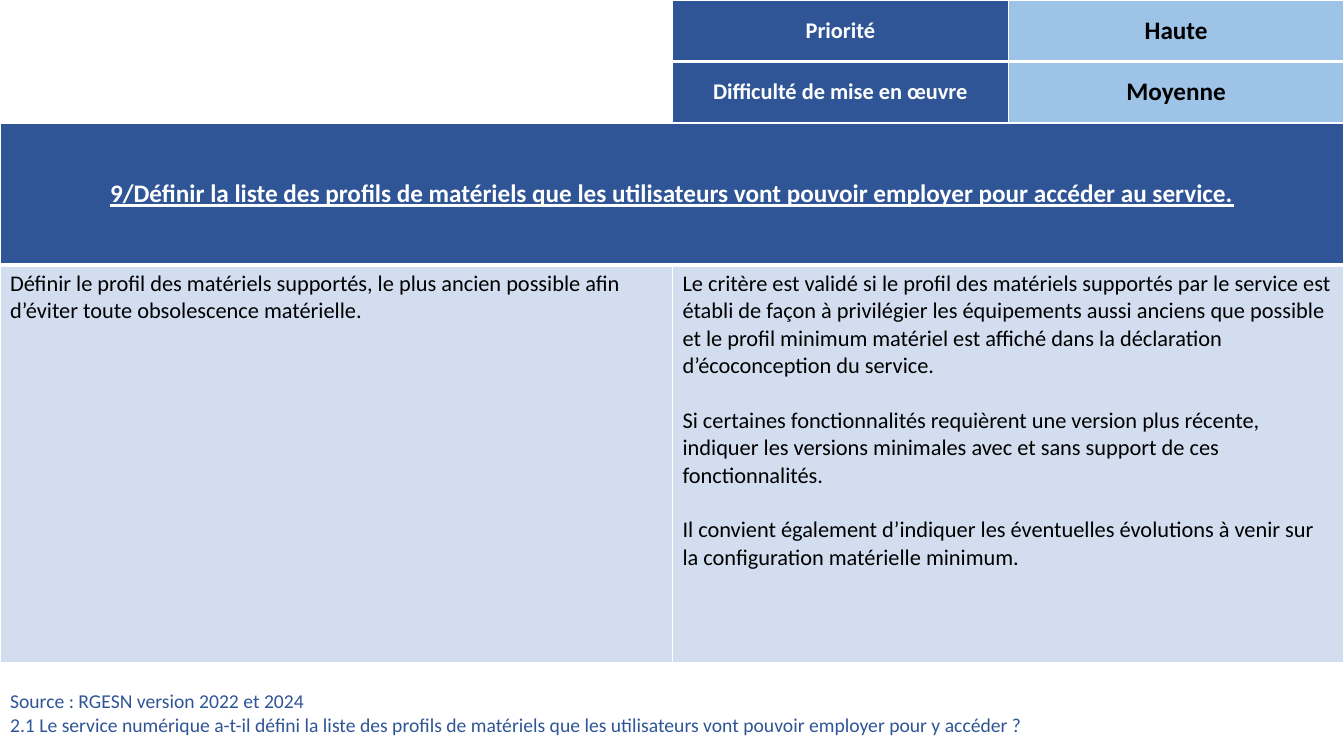
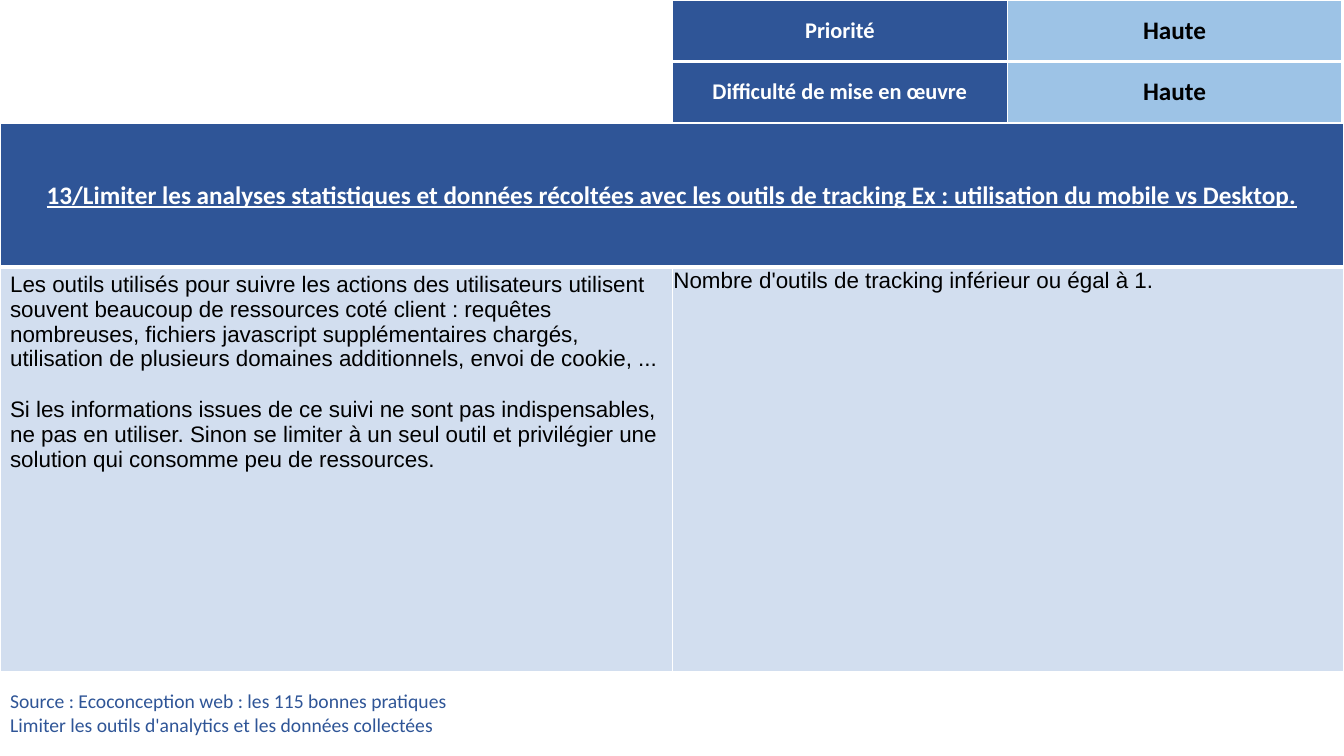
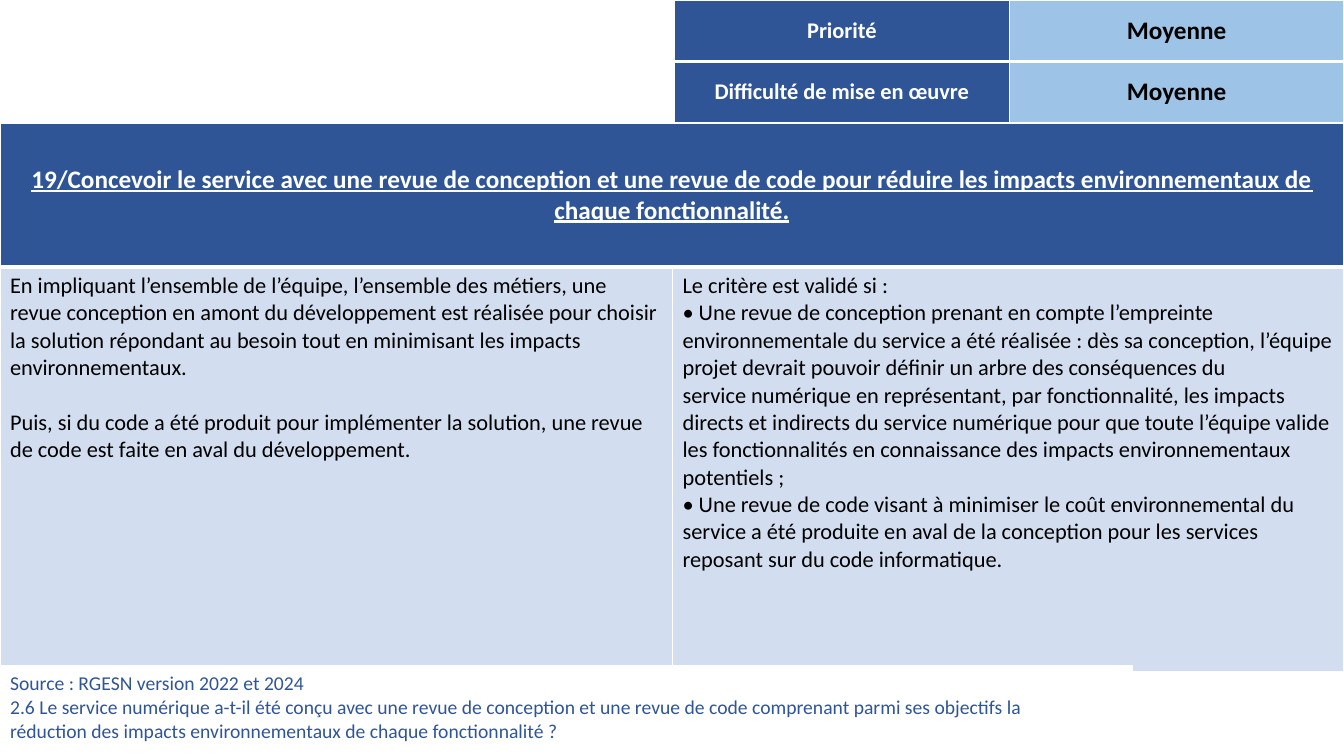
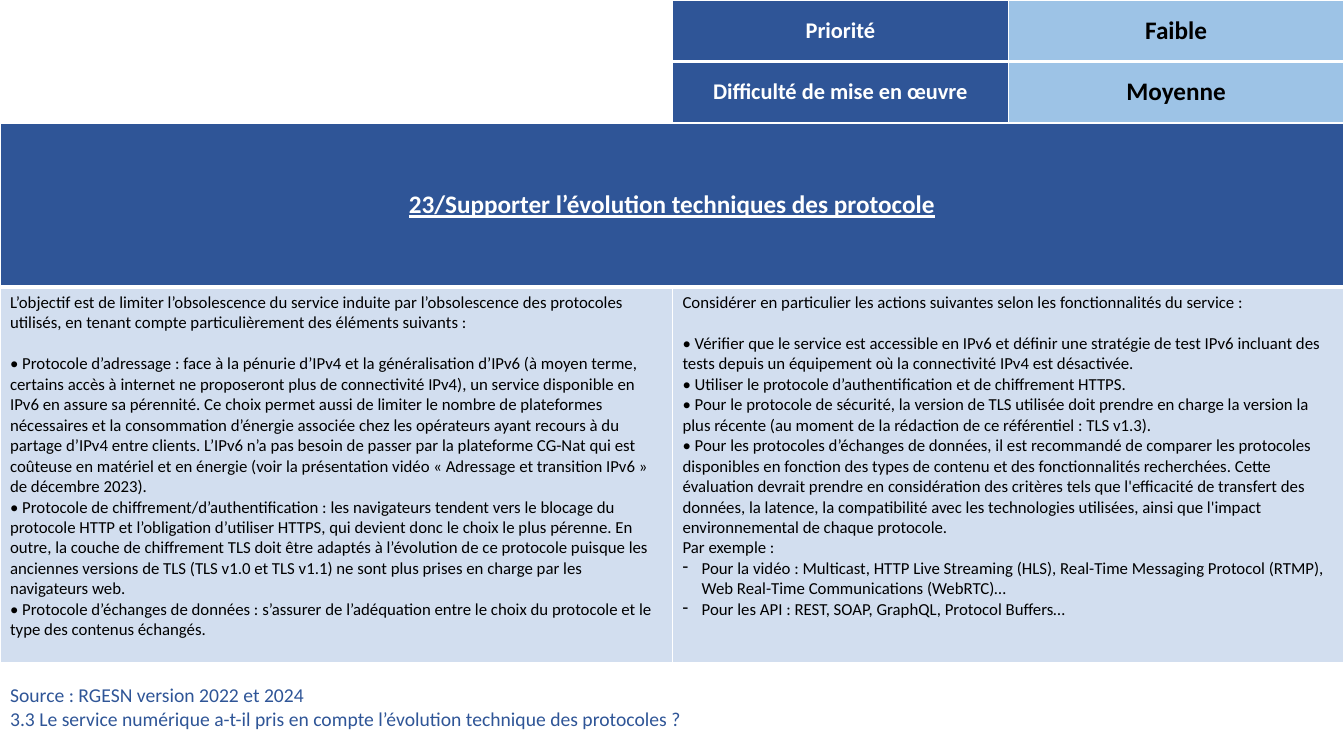
import dataclasses
import pptx
import pptx.dml.color
import pptx.enum.text
import pptx.oxml.ns
import pptx.util
from lxml import etree

RGB = pptx.dml.color.RGBColor
Inches = pptx.util.Inches
Pt = pptx.util.Pt
ALIGN = pptx.enum.text.PP_ALIGN
ANCHOR = pptx.enum.text.MSO_ANCHOR
qn = pptx.oxml.ns.qn

NAVY = RGB(0x2F, 0x55, 0x97)
SKY = RGB(0x9D, 0xC3, 0xE6)
PALE = RGB(0xD2, 0xDE, 0xEF)
WHITE = RGB(0xFF, 0xFF, 0xFF)
BLACK = RGB(0, 0, 0)

WIDE, HIGH = 13.33, 7.5
TOP = 1.22
LEAD = {"Calibri": 1.22, "Arial": 1.15}
TIGHT = (0.01, 0.01, 0.01, 0)
RGESN = "Source : RGESN version 2022 et 2024"


@dataclasses.dataclass(frozen=True)
class Style:
    """Look of the text in a cell."""
    size: int
    color: RGB
    font: str = "Calibri"
    bold: bool = False
    line: bool = False
    align: ALIGN = ALIGN.LEFT
    anchor: ANCHOR = ANCHOR.TOP


TITLE = Style(18, WHITE, bold=True, line=True, align=ALIGN.CENTER, anchor=ANCHOR.MIDDLE)
LABEL = Style(16, WHITE, bold=True, align=ALIGN.CENTER, anchor=ANCHOR.MIDDLE)
LEVEL = Style(18, BLACK, bold=True, align=ALIGN.CENTER, anchor=ANCHOR.MIDDLE)
NOTE = Style(14, NAVY, anchor=ANCHOR.MIDDLE)
BODY = Style(16, BLACK)
ARIAL = Style(16, BLACK, font="Arial")
SMALL = Style(12, BLACK)


@dataclasses.dataclass
class Card:
    """Content and measures of one slide; texts are groups of paragraphs."""
    title: str
    rank: str
    effort: str
    left: list
    right: list
    source: list
    rows: tuple
    style: Style = BODY
    grid: tuple = (6.67, 6.66)
    foot: float = 6.66
    tight: bool = False


CARDS = [
    Card(
        title="9/Définir la liste des profils de matériels que les utilisateurs vont pouvoir employer pour accéder au service.",
        rank="Haute",
        effort="Moyenne",
        left=[["Définir le profil des matériels supportés, le plus ancien possible afin d’éviter toute obsolescence matérielle."]],
        right=[
            ["Le critère est validé si le profil des matériels supportés par le service est établi de façon à privilégier les équipements aussi anciens que possible et le profil minimum matériel est affiché dans la déclaration d’écoconception du service."],
            ["Si certaines fonctionnalités requièrent une version plus récente, indiquer les versions minimales avec et sans support de ces fonctionnalités."],
            ["Il convient également d’indiquer les éventuelles évolutions à venir sur la configuration matérielle minimum."],
        ],
        source=[
            RGESN,
            "2.1 Le service numérique a-t-il défini la liste des profils de matériels que les utilisateurs vont pouvoir employer pour y accéder ?",
        ],
        rows=(1.41, 3.94),
    ),
    Card(
        title="13/Limiter les analyses statistiques et données récoltées avec les outils de tracking Ex : utilisation du mobile vs Desktop.",
        rank="Haute",
        effort="Haute",
        left=[
            ["Les outils utilisés pour suivre les actions des utilisateurs utilisent souvent beaucoup de ressources coté client : requêtes nombreuses, fichiers javascript supplémentaires chargés, utilisation de plusieurs domaines additionnels, envoi de cookie, ..."],
            ["Si les informations issues de ce suivi ne sont pas indispensables, ne pas en utiliser. Sinon se limiter à un seul outil et privilégier une solution qui consomme peu de ressources."],
        ],
        right=[["Nombre d'outils de tracking inférieur ou égal à 1."]],
        source=[
            "Source : Ecoconception web : les 115 bonnes pratiques",
            "Limiter les outils d'analytics et les données collectées",
        ],
        rows=(1.43, 4.01),
        style=ARIAL,
        grid=(6.67, 6.64),
        tight=True,
    ),
    Card(
        title="19/Concevoir le service avec une revue de conception et une revue de code pour réduire les impacts environnementaux de chaque fonctionnalité.",
        rank="Moyenne",
        effort="Moyenne",
        left=[
            ["En impliquant l’ensemble de l’équipe, l’ensemble des métiers, une revue conception en amont du développement est réalisée pour choisir la solution répondant au besoin tout en minimisant les impacts environnementaux."],
            ["Puis, si du code a été produit pour implémenter la solution, une revue de code est faite en aval du développement."],
        ],
        right=[[
            "Le critère est validé si :",
            "• Une revue de conception prenant en compte l’empreinte environnementale du service a été réalisée : dès sa conception, l’équipe projet devrait pouvoir définir un arbre des conséquences du",
            "service numérique en représentant, par fonctionnalité, les impacts directs et indirects du service numérique pour que toute l’équipe valide les fonctionnalités en connaissance des impacts environnementaux potentiels ;",
            "• Une revue de code visant à minimiser le coût environnemental du service a été produite en aval de la conception pour les services reposant sur du code informatique.",
        ]],
        source=[
            RGESN,
            "2.6 Le service numérique a-t-il été conçu avec une revue de conception et une revue de code comprenant parmi ses objectifs la",
            "réduction des impacts environnementaux de chaque fonctionnalité ?",
        ],
        rows=(1.43, 4.01),
        grid=(6.69, 6.64),
        foot=6.6,
    ),
    Card(
        title="23/Supporter l’évolution techniques des protocole",
        rank="Faible",
        effort="Moyenne",
        left=[
            ["L’objectif est de limiter l’obsolescence du service induite par l’obsolescence des protocoles utilisés, en tenant compte particulièrement des éléments suivants :"],
            [
                "• Protocole d’adressage : face à la pénurie d’IPv4 et la généralisation d’IPv6 (à moyen terme, certains accès à internet ne proposeront plus de connectivité IPv4), un service disponible en IPv6 en assure sa pérennité. Ce choix permet aussi de limiter le nombre de plateformes nécessaires et la consommation d’énergie associée chez les opérateurs ayant recours à du partage d’IPv4 entre clients. L’IPv6 n’a pas besoin de passer par la plateforme CG-Nat qui est coûteuse en matériel et en énergie (voir la présentation vidéo « Adressage et transition IPv6 » de décembre 2023).",
                "• Protocole de chiffrement/d’authentification : les navigateurs tendent vers le blocage du protocole HTTP et l’obligation d’utiliser HTTPS, qui devient donc le choix le plus pérenne. En outre, la couche de chiffrement TLS doit être adaptés à l’évolution de ce protocole puisque les anciennes versions de TLS (TLS v1.0 et TLS v1.1) ne sont plus prises en charge par les navigateurs web.",
                "• Protocole d’échanges de données : s’assurer de l’adéquation entre le choix du protocole et le type des contenus échangés.",
            ],
        ],
        right=[
            ["Considérer en particulier les actions suivantes selon les fonctionnalités du service :"],
            [
                "• Vérifier que le service est accessible en IPv6 et définir une stratégie de test IPv6 incluant des tests depuis un équipement où la connectivité IPv4 est désactivée.",
                "• Utiliser le protocole d’authentification et de chiffrement HTTPS.",
                "• Pour le protocole de sécurité, la version de TLS utilisée doit prendre en charge la version la plus récente (au moment de la rédaction de ce référentiel : TLS v1.3).",
                "• Pour les protocoles d’échanges de données, il est recommandé de comparer les protocoles disponibles en fonction des types de contenu et des fonctionnalités recherchées. Cette évaluation devrait prendre en considération des critères tels que l'efficacité de transfert des données, la latence, la compatibilité avec les technologies utilisées, ainsi que l'impact environnemental de chaque protocole.",
                "Par exemple :",
                "- Pour la vidéo : Multicast, HTTP Live Streaming (HLS), Real-Time Messaging Protocol (RTMP), Web Real-Time Communications (WebRTC)…",
                "- Pour les API : REST, SOAP, GraphQL, Protocol Buffers…",
            ],
        ],
        source=[
            RGESN,
            "3.3 Le service numérique a-t-il pris en compte l’évolution technique des protocoles ?",
        ],
        rows=(1.63, 3.72),
        style=SMALL,
        foot=6.6,
    ),
]


def add_dash(para):
    """Give a paragraph a hanging dash."""
    props = para._p.get_or_add_pPr()
    props.set("marL", str(Inches(0.19)))
    props.set("indent", str(-Inches(0.19)))
    etree.SubElement(props, qn("a:buChar")).set("char", "-")


def add_edges(cell, row):
    """Draw white borders, thick below the first row."""
    props = cell._tc.get_or_add_tcPr()
    sizes = {"L": 1, "R": 1, "T": 3 if row == 1 else 1, "B": 3 if row == 0 else 1}
    for side, size in sizes.items():
        edge = etree.SubElement(props, qn("a:ln" + side), w=str(Pt(size)))
        fill = etree.SubElement(edge, qn("a:solidFill"))
        etree.SubElement(fill, qn("a:srgbClr"), val=str(WHITE))


def add_grid(slide, left, top, cols, rows):
    """Place a plain table with white borders."""
    frame = slide.shapes.add_table(
        len(rows), len(cols), Inches(left), Inches(top), Inches(sum(cols)), Inches(sum(rows)))
    table = frame.table
    table.first_row = table.horz_banding = False
    for col, width in zip(table.columns, cols):
        col.width = Inches(width)
    for num, (row, height) in enumerate(zip(table.rows, rows)):
        row.height = Inches(height)
        for cell in row.cells:
            add_edges(cell, num)
    return table


def fill_cell(cell, groups, style, color, inset=(0.1, 0.05, 0.1, 0.05)):
    """Fill a cell with groups of paragraphs, one line apart."""
    cell.fill.solid()
    cell.fill.fore_color.rgb = color
    cell.vertical_anchor = style.anchor
    cell.margin_left, cell.margin_top, cell.margin_right, cell.margin_bottom = map(Inches, inset)
    frame = cell.text_frame
    frame.text = "\n".join(text for group in groups for text in group)
    starts = {sum(map(len, groups[:num])) for num in range(1, len(groups))}
    for num, para in enumerate(frame.paragraphs):
        if para.text.startswith("- "):
            para.text = para.text[2:]
            add_dash(para)
        para.alignment = style.align
        if num in starts:
            para.space_before = Pt(round(style.size * LEAD[style.font], 1))
        for run in para.runs:
            font = run.font
            font.name, font.size = style.font, Pt(style.size)
            font.bold, font.underline = style.bold, style.line
            font.color.rgb = style.color


def add_main(slide, card, left, top, width):
    """Place the title band over the two text columns."""
    half = round(width / 2 + 0.005, 2)
    table = add_grid(slide, left, top, (half, width - half), card.rows)
    inset = {"inset": TIGHT} if card.tight else {}
    table.cell(0, 0).merge(table.cell(0, 1))
    fill_cell(table.cell(0, 0), [[card.title]], TITLE, NAVY, **inset)
    fill_cell(table.cell(1, 0), card.left, card.style, PALE)
    fill_cell(table.cell(1, 1), card.right, card.style, PALE, **inset)


def add_ranks(slide, card, left, top, width, height):
    """Place the priority and difficulty grid."""
    table = add_grid(slide, left, top, (width / 2,) * 2, (height / 2,) * 2)
    pairs = (("Priorité", card.rank), ("Difficulté de mise en œuvre", card.effort))
    for row, (label, level) in enumerate(pairs):
        fill_cell(table.cell(row, 0), [[label]], LABEL, NAVY)
        fill_cell(table.cell(row, 1), [[level]], LEVEL, SKY)


def add_source(slide, card, left, top, width, height):
    """Place the source note."""
    table = add_grid(slide, left, top, (width,), (height,))
    fill_cell(table.cell(0, 0), [card.source], NOTE, WHITE)


def main():
    """Build and save the deck."""
    deck = pptx.Presentation()
    deck.slide_width, deck.slide_height = Inches(WIDE), Inches(HIGH)
    for card in CARDS:
        slide = deck.slides.add_slide(deck.slide_layouts[6])
        add_main(slide, card, 0, TOP, WIDE)
        add_ranks(slide, card, card.grid[0], 0, card.grid[1], TOP)
        add_source(slide, card, 0, card.foot, 11.23, 0.84)
    deck.save("out.pptx")


if __name__ == "__main__":
    main()
